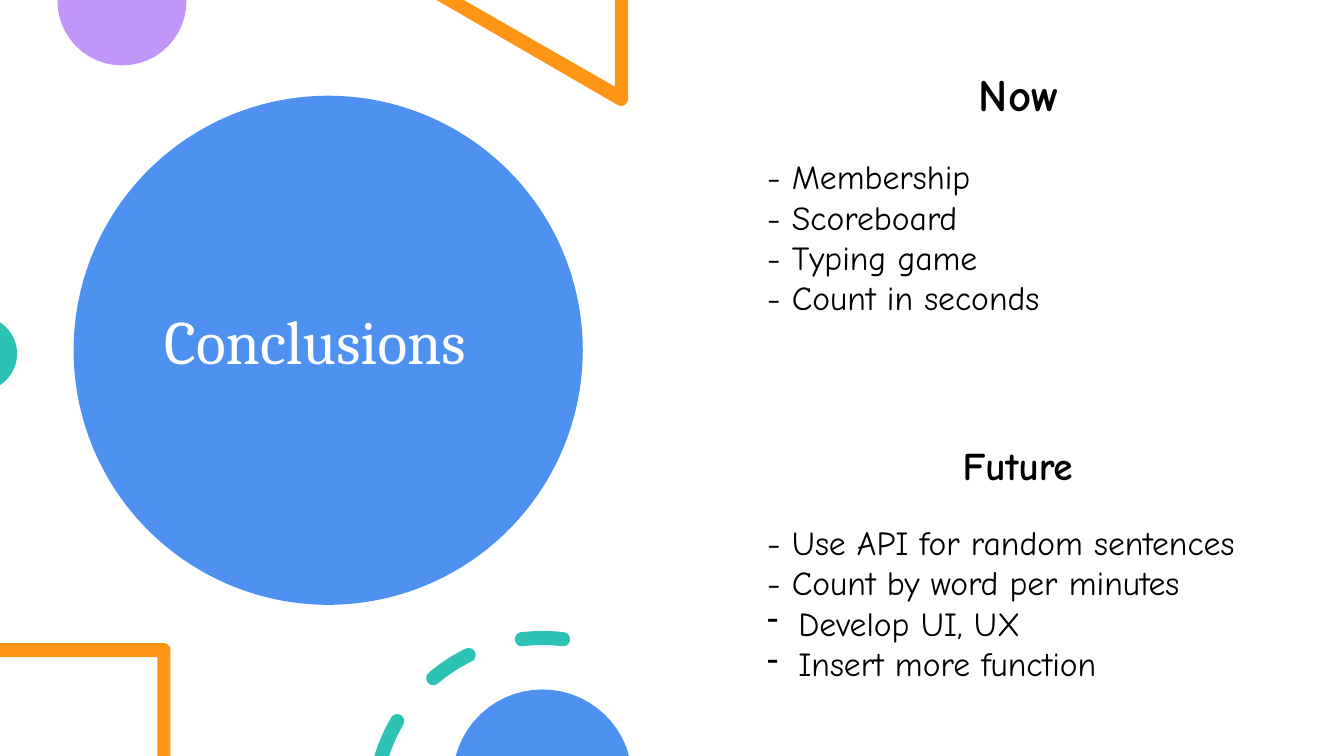
from math import cos, radians, sin

from lxml.etree import SubElement
from pptx import Presentation
from pptx.dml.color import RGBColor
from pptx.enum.shapes import MSO_SHAPE
from pptx.enum.text import MSO_ANCHOR
from pptx.oxml.ns import qn
from pptx.util import Inches, Pt

BLUE = RGBColor(0x4E, 0x91, 0xF0)
PURPLE = RGBColor(0xC0, 0x97, 0xF8)
ORANGE = RGBColor(0xFF, 0x95, 0x14)
TEAL = RGBColor(0x2C, 0xC3, 0xB4)
WHITE = RGBColor(0xFF, 0xFF, 0xFF)
BLACK = RGBColor(0, 0, 0)

TITLE_FONT = "Cambria"
BODY_FONT = "Comic Neue"
WIDTH, HEIGHT = 13.33, 7.5
STROKE = 0.14
HANGING_INDENT = 0.31


def arc(center_x, center_y, radius, start, end, steps=24):
    """Points along an arc; angles in degrees, counter-clockwise from the right."""
    angles = [radians(start + (end - start) * i / steps) for i in range(steps + 1)]
    return [(center_x + radius * cos(a), center_y - radius * sin(a)) for a in angles]


def paint(shape, color):
    shape.shadow.inherit = False
    shape.fill.solid()
    shape.fill.fore_color.rgb = color
    shape.line.fill.background()


def add_outline(slide, contours, color):
    """Draw one filled shape from closed contours given in inches."""
    contours = [[(Inches(x), Inches(y)) for x, y in contour] for contour in contours]
    builder = slide.shapes.build_freeform(*contours[0][0])
    for index, (first, *rest) in enumerate(contours):
        if index:
            builder.move_to(*first)
        builder.add_line_segments(rest, close=True)
    paint(builder.convert_to_shape(), color)


def add_text(slide, box, lines, *, size, font=BODY_FONT, color=BLACK, bold=False,
             wrap=True, anchor=MSO_ANCHOR.TOP, spacing=None, bulleted=()):
    """Place one paragraph per line; lines in bulleted get a hanging dash."""
    frame = slide.shapes.add_textbox(*map(Inches, box)).text_frame
    frame.word_wrap = wrap
    frame.vertical_anchor = anchor
    frame.text = "\n".join(lines)
    for paragraph in frame.paragraphs:
        if spacing:
            paragraph.line_spacing = spacing
        run = paragraph.runs[0]
        run.font.name = font
        run.font.size = Pt(size)
        run.font.bold = bold
        run.font.color.rgb = color
        if run.text in bulleted:
            properties = paragraph._p.get_or_add_pPr()
            properties.set("marL", str(Inches(HANGING_INDENT)))
            properties.set("indent", str(-Inches(HANGING_INDENT)))
            SubElement(properties, qn("a:buChar")).set("char", "-")


def add_title_circle(slide, left, top, diameter):
    circle = slide.shapes.add_shape(
        MSO_SHAPE.OVAL, *map(Inches, (left, top, diameter, diameter)))
    paint(circle, BLUE)
    add_text(slide, (left + 0.8, top + 0.24, 3.54, 4.45), ["Conclusions"], size=44,
             font=TITLE_FONT, color=WHITE, anchor=MSO_ANCHOR.MIDDLE, spacing=0.9)


def add_edge_circles(slide):
    """Circles cut off by the slide's top, left and bottom edges."""
    add_outline(slide, [arc(1.21, 0.01, 0.64, -181, 1)], PURPLE)
    add_outline(slide, [arc(-0.2, 3.51, 0.37, -57, 57)], TEAL)
    add_outline(slide, [arc(5.38, 7.73, 0.89, 15, 165)], BLUE)


def add_corner_frames(slide):
    """Orange triangle at the top and orange square at the bottom left."""
    half = STROKE / 2
    add_outline(slide, [[(6.1, 0), (6.1, 0.86), (4.6, 0), (4.33, 0)]
                        + arc(6.16, 0.98, half, -120, 0) + [(6.23, 0)]], ORANGE)
    add_outline(slide, [[(0, 6.52), (1.56, 6.52), (1.56, HEIGHT), (1.69, HEIGHT)]
                        + arc(1.62, 6.45, half, 0, 90) + [(0, 6.38)]], ORANGE)


def add_dashed_ring(slide, center_x, center_y, radius):
    """Round-ended dashes, the last one cut by the bottom edge."""
    half = STROKE / 2

    def cap(angle, turn):
        middle = arc(center_x, center_y, radius, angle, angle, 1)[0]
        return arc(*middle, half, angle + turn, angle + turn + 180, 12)

    def band(start, outer_end, inner_end, end_cap):
        return (cap(start, 180)
                + arc(center_x, center_y, radius + half, start, outer_end)
                + end_cap
                + arc(center_x, center_y, radius - half, inner_end, start))

    dashes = [band(start, end, end, cap(end, 0))
              for start, end in ((83, 97), (116, 130.4))]
    dashes.append(band(149.6, 163.3, 161.8, []))
    add_outline(slide, dashes, TEAL)


def add_section(slide, heading_box, heading, heading_size, list_box, items, bulleted=()):
    add_text(slide, heading_box, [heading], size=heading_size, bold=True, wrap=False)
    add_text(slide, list_box, items, size=24, bulleted=bulleted)


def main():
    presentation = Presentation()
    presentation.slide_width = Inches(WIDTH)
    presentation.slide_height = Inches(HEIGHT)
    slide = presentation.slides.add_slide(presentation.slide_layouts[6])
    slide.background.fill.solid()
    slide.background.fill.fore_color.rgb = WHITE

    add_title_circle(slide, 0.73, 0.95, 5.05)
    add_corner_frames(slide)
    add_dashed_ring(slide, 5.38, 8, 1.67)
    add_edge_circles(slide)

    add_section(slide, (9.61, 0.61, 1.11, 0.64), "Now", 32, (7.51, 1.5, 3.02, 2.12),
                ["- Membership", "- Scoreboard", "- Typing game", "- Count in seconds"])
    plans = ["Develop UI, UX", "Insert more function"]
    add_section(slide, (9.45, 4.33, 1.44, 0.57), "Future", 28, (7.51, 5.13, 5.32, 1.72),
                ["- Use API for random sentences", "- Count by word per minutes", *plans],
                bulleted=plans)
    presentation.save("out.pptx")


if __name__ == "__main__":
    main()
